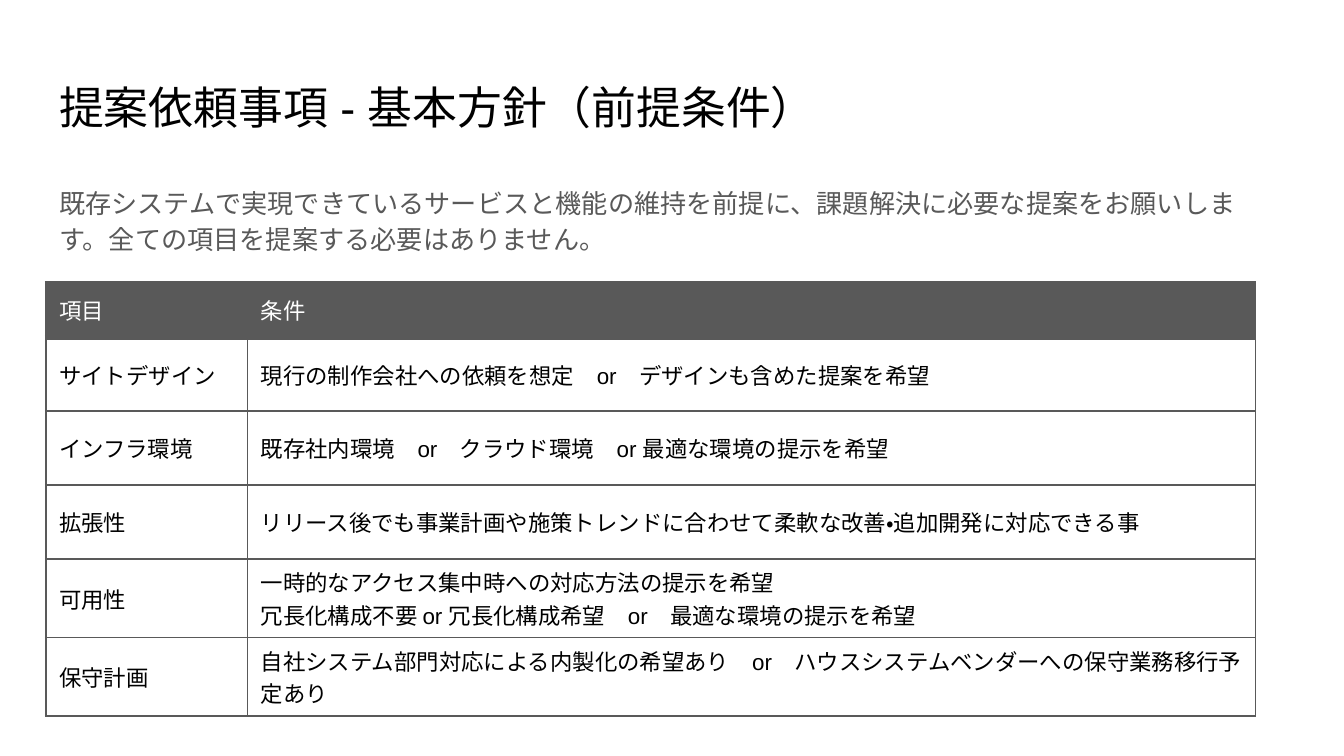
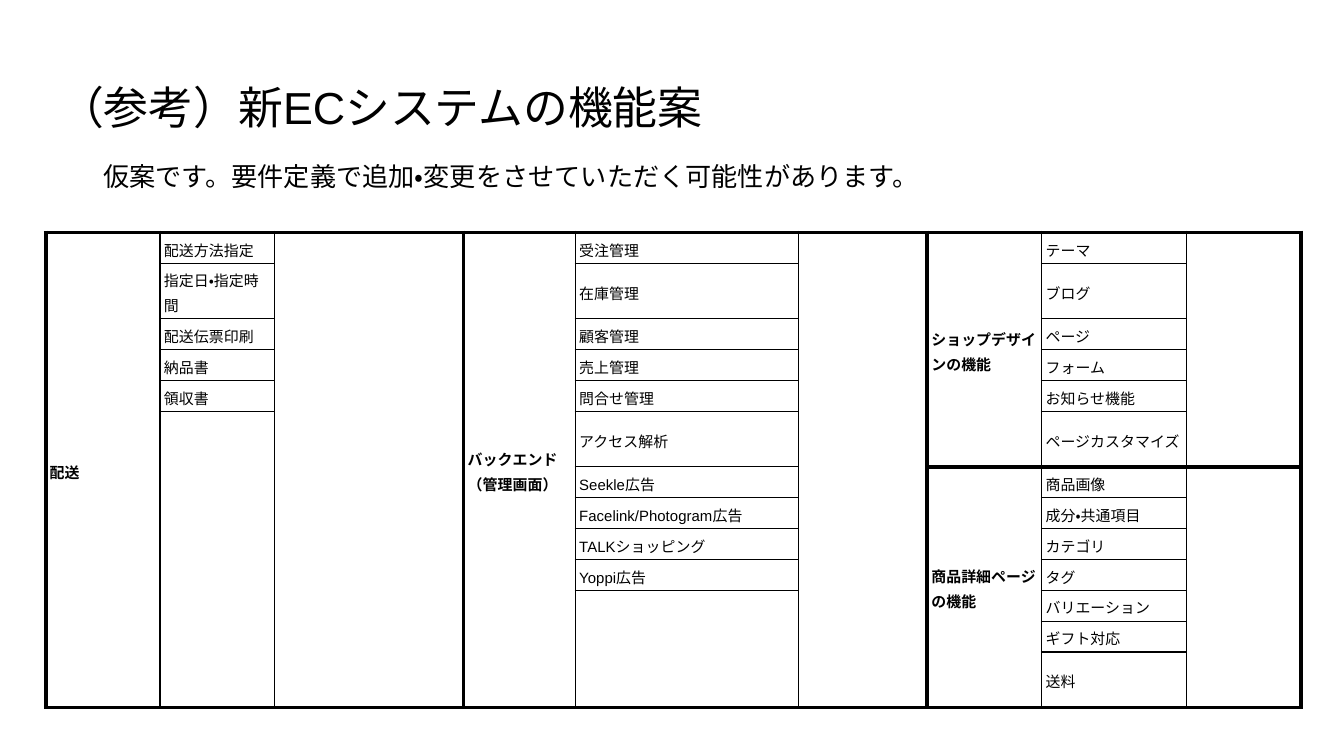
from lxml.etree import SubElement
from pptx import Presentation
from pptx.dml.color import RGBColor
from pptx.enum.lang import MSO_LANGUAGE_ID as Lang
from pptx.enum.text import MSO_ANCHOR as Anchor, MSO_AUTO_SIZE as AutoSize, PP_ALIGN as Align
from pptx.oxml.ns import qn
from pptx.util import Inches, Pt

# Content
POLICY_TITLE = "提案依頼事項 - 基本方針（前提条件）"
POLICY_LEAD = ("既存システムで実現できているサービスと機能の維持を前提に、"
               "課題解決に必要な提案をお願いします。全ての項目を提案する必要はありません。")
POLICY_ROWS = [
    ("項目", "条件"),
    ("サイトデザイン", "現行の制作会社への依頼を想定　or　デザインも含めた提案を希望"),
    ("インフラ環境", "既存社内環境　or　クラウド環境　or 最適な環境の提示を希望"),
    ("拡張性", "リリース後でも事業計画や施策トレンドに合わせて柔軟な改善・追加開発に対応できる事"),
    ("可用性", "一時的なアクセス集中時への対応方法の提示を希望\n"
              "冗長化構成不要 or 冗長化構成希望　or　最適な環境の提示を希望"),
    ("保守計画", "自社システム部門対応による内製化の希望あり　or　"
               "ハウスシステムベンダーへの保守業務移行予定あり"),
]

FEATURE_TITLE = "（参考）新ECシステムの機能案"
FEATURE_LEAD = "仮案です。要件定義で追加・変更をさせていただく可能性があります。"
# Group name, first column, first row, row count, features
FEATURE_GROUPS = [
    ("配送", 0, 0, 13, ["配送方法指定", "指定日・指定時間", "配送伝票印刷", "納品書", "領収書"]),
    ("バックエンド（管理画面）", 3, 0, 13,
     ["受注管理", "在庫管理", "顧客管理", "売上管理", "問合せ管理", "アクセス解析",
      "Seekle広告", "Facelink/Photogram広告", "TALKショッピング", "Yoppi広告"]),
    ("ショップデザインの機能", 6, 0, 6,
     ["テーマ", "ブログ", "ページ", "フォーム", "お知らせ機能", "ページカスタマイズ"]),
    ("商品詳細ページの機能", 6, 6, 7,
     ["商品画像", "成分・共通項目", "カテゴリ", "タグ", "バリエーション", "ギフト対応", "送料"]),
]

# Shared look
FONT = "Arial"
COLORS = {"ink": "000000", "gray": "595959", "paper": "FFFFFF"}
LEFT, WIDTH = 0.34, 9.32
THIN, THICK = 0.75, 2.25
POLICY_COLS = [1.5, 7.5]
POLICY_HEIGHTS = [0.41] + [0.55] * 5
FEATURE_COLS = [0.85, 0.85, 1.41, 0.83, 1.66, 0.96, 0.85, 1.08, 0.85]
TALL_ROWS = {1, 5, 12}
FEATURE_HEIGHTS = [0.41 if row in TALL_ROWS else 0.23 for row in range(13)]
NO_STYLE = "{2D5ABB26-0587-4C30-8999-92F81FD0307C}"


def put_text(frame, text, size=12, color="ink", bold=False, spacing=None,
             before=0, after=0, asian_font=None):
    """Write one paragraph per line of text."""
    for index, line in enumerate(text.split("\n")):
        para = frame.paragraphs[0] if index == 0 else frame.add_paragraph()
        para.alignment = Align.LEFT
        para.space_before, para.space_after = Pt(before), Pt(after)
        para._p.pPr.set("hangingPunct", "0")
        if spacing:
            para.line_spacing = spacing
        if not line:
            SubElement(para._p, qn("a:endParaRPr"), sz=str(size * 100))
            continue
        run = para.add_run()
        run.text = line
        font = run.font
        font.name, font.size, font.bold = FONT, Pt(size), bold
        font.language_id = Lang.JAPANESE
        font.color.rgb = RGBColor.from_string(COLORS[color])
        if asian_font:
            run._r.rPr.find(qn("a:latin")).addnext(
                run._r.rPr.makeelement(qn("a:ea"), {"typeface": asian_font}))


def place(shape, left, top, width, height, inset=0.1):
    """Move a text shape and set up its frame."""
    shape.left, shape.top = Inches(left), Inches(top)
    shape.width, shape.height = Inches(width), Inches(height)
    frame = shape.text_frame
    frame.word_wrap = True
    frame.auto_size = AutoSize.NONE
    frame.vertical_anchor = Anchor.TOP
    frame.margin_left = frame.margin_right = Inches(0.1)
    frame.margin_top = frame.margin_bottom = Inches(inset)
    return frame


def add_titled_slide(deck, layout, title):
    slide = deck.slides.add_slide(deck.slide_layouts[layout])
    put_text(place(slide.shapes.title, LEFT, 0.49, WIDTH, 0.63), title,
             size=24, asian_font=FONT)
    return slide


def add_grid(slide, top, widths, heights):
    """Add a plain table without a banded style."""
    table = slide.shapes.add_table(
        len(heights), len(widths), Inches(LEFT), Inches(top),
        Inches(sum(widths)), Inches(sum(heights))).table
    table.first_row = table.horz_banding = False
    table._tbl.tblPr.find(qn("a:tableStyleId")).text = NO_STYLE
    for column, width in zip(table.columns, widths):
        column.width = Inches(width)
    for row, height in zip(table.rows, heights):
        row.height = Inches(height)
    return table


def format_cell(cell, margin_x, margin_y, color, **edges):
    """Set margins, anchor and the border width of each named edge."""
    cell.vertical_anchor = Anchor.MIDDLE
    cell.margin_left = cell.margin_right = Inches(margin_x)
    cell.margin_top = cell.margin_bottom = Inches(margin_y)
    for edge in "LRTB":
        if edges.get(edge):
            line = SubElement(cell._tc.tcPr, qn("a:ln" + edge), w=str(Pt(edges[edge])))
            fill = SubElement(line, qn("a:solidFill"))
            SubElement(fill, qn("a:srgbClr"), val=COLORS[color])


def build_policy(deck):
    slide = add_titled_slide(deck, 1, POLICY_TITLE)
    lead = place(slide.placeholders[1], LEFT, 1.26, WIDTH, 0.84)
    put_text(lead, POLICY_LEAD, size=14, color="gray", spacing=1.15, after=12,
             asian_font=FONT)
    props = lead.paragraphs[0]._p.pPr
    props.set("marL", "0")
    props.set("indent", "0")
    SubElement(props, qn("a:buNone"))

    # Conditions table
    table = add_grid(slide, 2.1, POLICY_COLS, POLICY_HEIGHTS)
    for r, texts in enumerate(POLICY_ROWS):
        header = r == 0
        for c, text in enumerate(texts):
            cell = table.cell(r, c)
            format_cell(cell, 0.1, 0.05, "gray", L=1, R=1,
                        T=3 if r == 1 else 1, B=3 if header else 1)
            cell.fill.solid()
            cell.fill.fore_color.rgb = RGBColor.from_string(COLORS["gray" if header else "paper"])
            put_text(cell.text_frame, text, color="paper" if header else "ink")


def build_features(deck):
    slide = add_titled_slide(deck, 5, FEATURE_TITLE)
    lead = place(slide.shapes.add_textbox(0, 0, 0, 0), 0.67, 1.11, 8.09, 0.38, inset=0.05)
    put_text(lead, FEATURE_LEAD, size=14, spacing=1.15, before=2.8, after=14)

    # Each group: name, features, blank column
    table = add_grid(slide, 1.73, FEATURE_COLS, FEATURE_HEIGHTS)
    for name, col, first, count, features in FEATURE_GROUPS:
        # Texts of each column and the row where its merged part starts
        columns = [([name], 0), (features, len(features)), ([], 0)]
        for c, (texts, merge_row) in enumerate(columns):
            for r in range(count):
                cell = table.cell(first + r, col + c)
                reaches_end = r == count - 1 or r >= merge_row
                format_cell(cell, 0.03, 0.02, "ink",
                            L=THICK if c == 0 else THIN, R=THICK if c == 2 else THIN,
                            T=THICK if r == 0 else THIN if r <= merge_row else 0,
                            B=THICK if reaches_end else THIN)
                put_text(cell.text_frame, texts[r] if r < len(texts) else "",
                         size=8, bold=c == 0, spacing=1.15)
            if merge_row < count:
                table.cell(first + merge_row, col + c).merge(
                    table.cell(first + count - 1, col + c))


def main():
    deck = Presentation()
    deck.slide_width = Inches(10)
    deck.slide_height = deck.slide_width * 9 // 16
    build_policy(deck)
    build_features(deck)
    deck.save("out.pptx")


if __name__ == "__main__":
    main()
